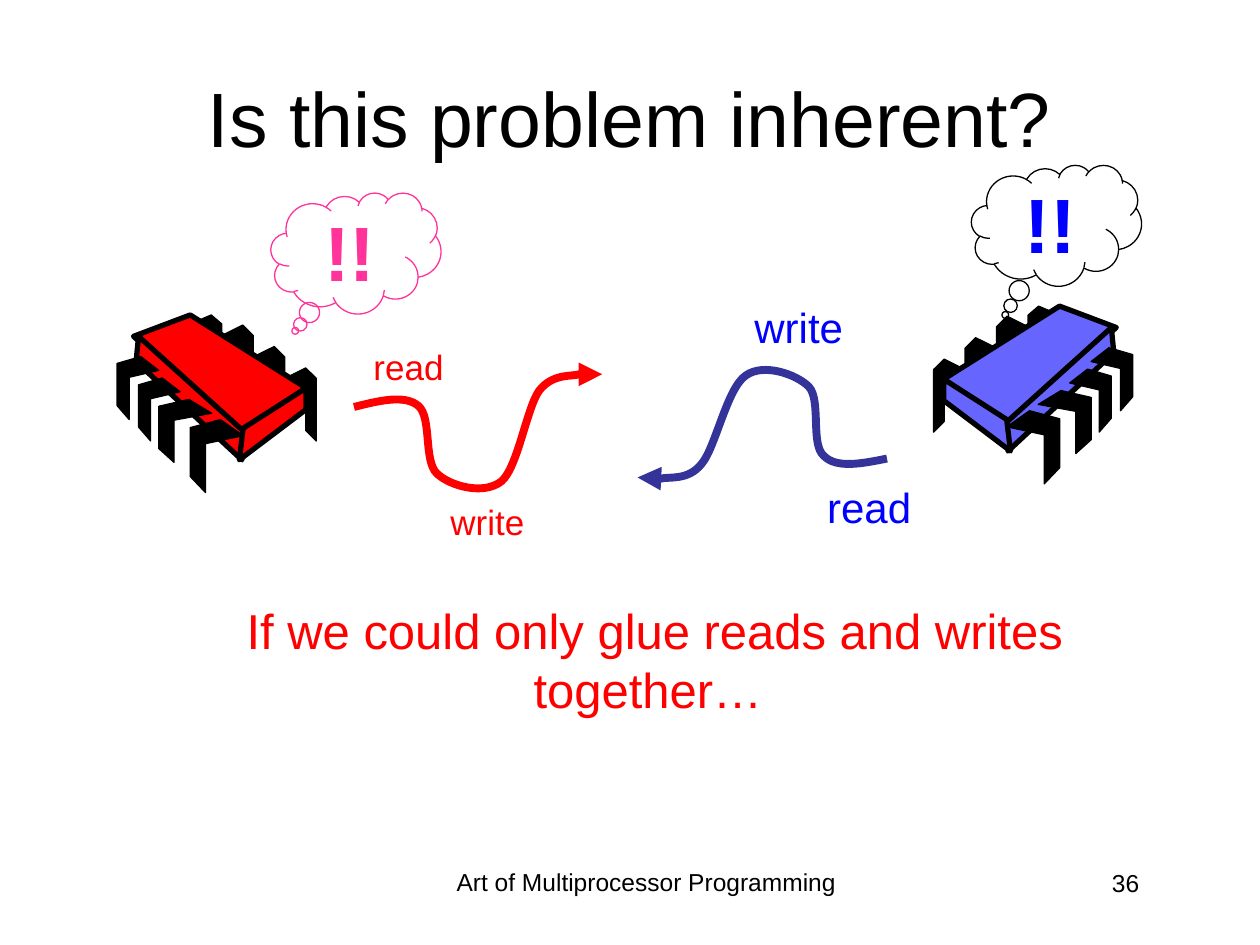
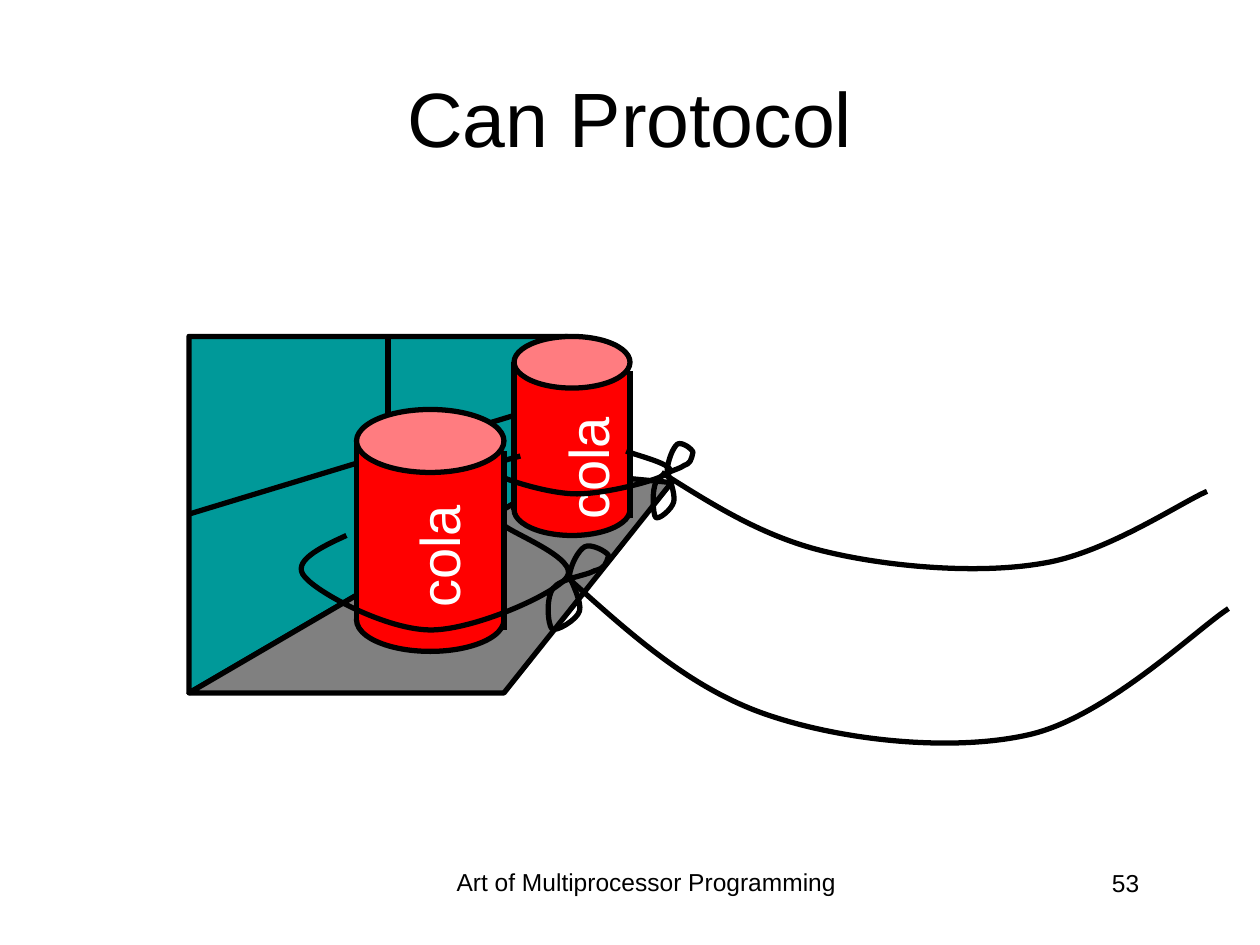
import pptx
import pptx.dml.color
import pptx.enum.shapes
import pptx.enum.text
import pptx.oxml
import pptx.oxml.ns
import pptx.util

Inches = pptx.util.Inches
Shape = pptx.enum.shapes.MSO_SHAPE
Align = pptx.enum.text.PP_ALIGN
Anchor = pptx.enum.text.MSO_ANCHOR
qn = pptx.oxml.ns.qn

FONT = "Arial"
COLORS = {
    name: pptx.dml.color.RGBColor.from_string(value)
    for name, value in {
        "black": "000000", "white": "FFFFFF", "red": "FF0000", "blue": "0000FF",
        "pink": "FF3399", "navy": "333399", "periwinkle": "6666FF",
        "teal": "009999", "gray": "808080", "lid": "FF7C80",
    }.items()
}


def write_text(shape, text, size, color, align, bold=None):
    frame = shape.text_frame
    frame.text = text
    para = frame.paragraphs[0]
    para.alignment = align
    para.font.name = FONT
    para.font.size = pptx.util.Pt(size)
    para.font.color.rgb = COLORS[color]
    para.font.bold = bold
    return frame


def draw_path(shapes, points, fill=None, line="black", width=3, closed=False, curved=False):
    """Draw an outline; a curved one lists a start, then three Bézier points per piece."""
    places = [(Inches(x), Inches(y)) for x, y in points]
    builder = shapes.build_freeform(*places[0])
    builder.add_line_segments(places[1:], close=closed)
    outline = builder.convert_to_shape()
    outline.shadow.inherit = False
    if fill:
        outline.fill.solid()
        outline.fill.fore_color.rgb = COLORS[fill]
    else:
        outline.fill.background()
    outline.line.color.rgb = COLORS[line]
    outline.line.width = pptx.util.Pt(width)
    if curved:
        steps = outline._element.findall(".//" + qn("a:lnTo"))
        for first, second, third in zip(steps[::3], steps[1::3], steps[2::3]):
            first.tag = qn("a:cubicBezTo")
            for step in (second, third):
                first.append(step[0])
                step.getparent().remove(step)
    return outline


deck = pptx.Presentation()
deck.slide_width, deck.slide_height = Inches(10), Inches(7.5)

# Shared title and footer
pages = []
for title_text, number in (("Is this problem inherent?", 36), ("Can Protocol", 53)):
    page = deck.slides.add_slide(deck.slide_layouts[5])
    pages.append(page)
    title = page.shapes.title
    title.left, title.top, title.width, title.height = map(Inches, (0.5, 0.3, 9, 1.25))
    write_text(title, title_text, 44, "black", Align.CENTER).vertical_anchor = Anchor.MIDDLE
    for place, text, align in (
        ((3.42, 6.83, 3.42, 0.52), "Art of Multiprocessor Programming", Align.CENTER),
        ((7.06, 6.84, 2.08, 0.5), str(number), Align.RIGHT),
    ):
        box = page.shapes.add_textbox(*map(Inches, place))
        write_text(box, text, 14, "black", align).word_wrap = True
problem_page, can_page = pages

# Two chips, the right one a mirror of the left
BACK_LEG = [(0, 1 / 7), (2 / 3, 0), (1, 1 / 7), (1, 1), (2 / 3, 6 / 7), (2 / 3, 2 / 7), (0, 3 / 7)]
FRONT_LEG = [(0.57, 0), (1, 0.22), (0.29, 0.33), (0.29, 1), (0, 0.78), (0, 0.11)]
BACK_LEGS = [(2.26, 2.92, 0.25, 0.58), (2.01, 2.75, 0.25, 0.58),
             (1.76, 2.58, 0.25, 0.58), (1.51, 2.5, 0.25, 0.5)]
FRONT_LEGS = [(1.51, 3.33, 0.42, 0.58), (1.26, 3.17, 0.42, 0.5),
              (1.1, 3, 0.33, 0.5), (0.93, 2.83, 0.33, 0.5)]
CHIP_FACES = [
    [(1.51, 2.5), (2.43, 3.08), (1.92, 3.43), (1.06, 2.67)],
    [(1.1, 2.67), (1.93, 3.42), (1.92, 3.65), (1.08, 2.87)],
    [(2.43, 3.08), (2.43, 3.25), (1.9, 3.65), (1.93, 3.4)],
]
back_parts, front_parts = (
    [[(left + x * width, top + y * height) for x, y in leg] for left, top, width, height in places]
    for leg, places in ((BACK_LEG, BACK_LEGS), (FRONT_LEG, FRONT_LEGS))
)
for chip_color, mirrored in (("red", False), ("periwinkle", True)):
    chip = problem_page.shapes.add_group_shape()
    for parts, fill, width in (
        (back_parts, "black", 0.75), (CHIP_FACES, chip_color, 3), (front_parts, "black", 0.75),
    ):
        for points in parts:
            if mirrored:
                points = [(9.92 - x, y - 0.07) for x, y in points]
            draw_path(chip.shapes, points, fill, width=width, closed=True)

# Wavy arrows
for color, points in (
    ("red", [(2.81, 3.23), (3.01, 3.18), (3.21, 3.13), (3.32, 3.22),
             (3.43, 3.31), (3.36, 3.66), (3.47, 3.76), (3.58, 3.86), (3.84, 3.93), (3.98, 3.82),
             (4.11, 3.71), (4.18, 3.24), (4.28, 3.1), (4.39, 2.96), (4.54, 2.99), (4.6, 2.97),
             (4.67, 2.94), (4.66, 2.97), (4.69, 2.97), (4.72, 2.97), (4.75, 2.97), (4.78, 2.97)]),
    ("navy", [(7.04, 3.64), (6.84, 3.68), (6.64, 3.72), (6.54, 3.62),
              (6.43, 3.53), (6.52, 3.18), (6.42, 3.07), (6.32, 2.97), (6.06, 2.88), (5.92, 2.98),
              (5.77, 3.08), (5.68, 3.55), (5.57, 3.68), (5.46, 3.82), (5.31, 3.78), (5.24, 3.8),
              (5.17, 3.81), (5.18, 3.79), (5.15, 3.79), (5.12, 3.79), (5.09, 3.79), (5.06, 3.79)]),
):
    arrow = draw_path(problem_page.shapes, points, line=color, width=4.5, curved=True)
    head = pptx.oxml.parse_xml(f'<a:tailEnd {pptx.oxml.ns.nsdecls("a")} type="triangle"/>')
    arrow.line._get_or_add_ln().append(head)

message = problem_page.shapes.add_textbox(*map(Inches, (1.75, 4.72, 6.89, 1.03)))
write_text(message, "If we could only glue reads and writes together… ", 28, "red",
           Align.CENTER).word_wrap = True

for text, place, size, color in (
    ("read", (2.86, 2.69, 0.76, 0.44), 20, "red"),
    ("write", (3.47, 3.92, 0.79, 0.44), 20, "red"),
    ("read", (6.42, 3.77, 0.91, 0.5), 24, "blue"),
    ("write", (5.88, 2.34, 0.91, 0.5), 24, "blue"),
):
    box = problem_page.shapes.add_textbox(*map(Inches, place))
    write_text(box, text, size, color, Align.RIGHT).word_wrap = False

for left, top, tip, line_color, text_color in (
    (2.15, 1.53, (-0.357, 0.642), "pink", "pink"),
    (7.71, 1.31, (-0.301, 0.74), "black", "blue"),
):
    cloud = problem_page.shapes.add_shape(
        Shape.CLOUD_CALLOUT, Inches(left), Inches(top), Inches(1.35), Inches(0.96))
    cloud.adjustments[0], cloud.adjustments[1] = tip
    cloud.shadow.inherit = False
    cloud.fill.background()
    cloud.line.color.rgb = COLORS[line_color]
    cloud.line.width = pptx.util.Pt(0.75)
    frame = write_text(cloud, "!!", 44, text_color, Align.CENTER, bold=True)
    frame.vertical_anchor = Anchor.MIDDLE

# Window sill
edges = []
draw_path(can_page.shapes, [(1.5, 2.67), (1.5, 5.5), (4.5, 3.75), (4.5, 2.67)], "teal", closed=True)
for ends in ((1.5, 4.08, 4.5, 3.17), (3.08, 2.67, 3.08, 4.58)):
    edges.append(can_page.shapes.add_connector(
        pptx.enum.shapes.MSO_CONNECTOR.STRAIGHT, *map(Inches, ends)))
draw_path(can_page.shapes, [(1.5, 5.5), (4, 5.5), (5.33, 3.83), (4.5, 3.75)], "gray", closed=True)

# Cans, each with a loop, a knot and a rope
KNOT = [(0.19, 0.26), (0.2, 0.17), (0.26, 0.06), (0.31, 0.03), (0.36, 0), (0.49, 0.07),
        (0.5, 0.1), (0.48, 0.17), (0.47, 0.2), (0.39, 0.22), (0.32, 0.26), (0.12, 0.28),
        (0.06, 0.36), (0, 0.44), (0.02, 0.65), (0.05, 0.68), (0.08, 0.71), (0.25, 0.61),
        (0.27, 0.54), (0.29, 0.47), (0.21, 0.32), (0.19, 0.26)]
CANS = [
    {"can": (4.08, 2.67, 0.92, 0.41, 1.17), "label": (4.15, 3.4),
     "knot": (5.17, 3.5, 0.66, 0.89),
     "loop": [(4.13, 3.62), (3.98, 3.66), (3.83, 3.7), (3.91, 3.75), (3.98, 3.8), (4.35, 3.92),
              (4.58, 3.92), (4.81, 3.92), (5.24, 3.81), (5.31, 3.75), (5.38, 3.69),
              (5.03, 3.61), (4.97, 3.58)],
     "rope": [(5.25, 3.75), (5.65, 4), (6.05, 4.26), (6.56, 4.38), (7.06, 4.5), (7.77, 4.56),
              (8.28, 4.47), (8.78, 4.39), (9.37, 3.99), (9.58, 3.9)]},
    {"can": (2.83, 3.25, 1.17, 0.5, 1.42), "label": (2.97, 4.1),
     "knot": (4.33, 4.31, 1, 1),
     "loop": [(2.75, 4.25), (2.53, 4.35), (2.31, 4.46), (2.42, 4.58), (2.53, 4.71), (3.07, 5),
              (3.42, 5), (3.76, 5), (4.4, 4.72), (4.5, 4.58), (4.6, 4.44), (4.08, 4.24),
              (4, 4.17)],
     "rope": [(4.5, 4.58), (4.99, 5.02), (5.47, 5.46), (6.08, 5.67), (6.69, 5.88), (7.56, 5.97),
              (8.17, 5.83), (8.78, 5.69), (9.49, 5), (9.75, 4.83)]},
]
for item in CANS:
    left, top, width, lid_height, body_height = item["can"]
    body_top = top + lid_height / 2
    right, drop = left + width, lid_height / 6
    can = can_page.shapes.add_group_shape()
    for kind, part_top, height, fill in (
        (Shape.OVAL, top + body_height, lid_height, "red"),
        (Shape.RECTANGLE, body_top, body_height, "red"),
        (Shape.OVAL, top, lid_height, "lid"),
    ):
        part = can.shapes.add_shape(kind, *map(Inches, (left, part_top, width, height)))
        part.shadow.inherit = False
        part.fill.solid()
        part.fill.fore_color.rgb = COLORS[fill]
        if kind == Shape.OVAL:
            part.line.color.rgb = COLORS["black"]
            part.line.width = pptx.util.Pt(3)
        else:
            part.line.fill.background()
    for x, y in ((left, body_top), (right, body_top + drop)):
        edges.append(can.shapes.add_connector(
            pptx.enum.shapes.MSO_CONNECTOR.STRAIGHT, *map(Inches, (x, y, x, y + body_height))))
    label = can.shapes.add_textbox(*map(Inches, (*item["label"], 1.02, 0.64)))
    label.rotation = 270
    write_text(label, "cola", 32, "white", Align.RIGHT).word_wrap = False

    knot_left, knot_top, scale_x, scale_y = item["knot"]
    knot = [(knot_left + x * scale_x, knot_top + y * scale_y) for x, y in KNOT]
    draw_path(can_page.shapes, item["loop"], curved=True)
    draw_path(can_page.shapes, knot, closed=True, curved=True)
    draw_path(can_page.shapes, item["rope"], curved=True)

for edge in edges:
    edge.line.color.rgb = COLORS["black"]
    edge.line.width = pptx.util.Pt(3)
    edge._element.spPr.append(
        pptx.oxml.parse_xml(f'<a:effectLst {pptx.oxml.ns.nsdecls("a")}/>'))

deck.save("out.pptx")
